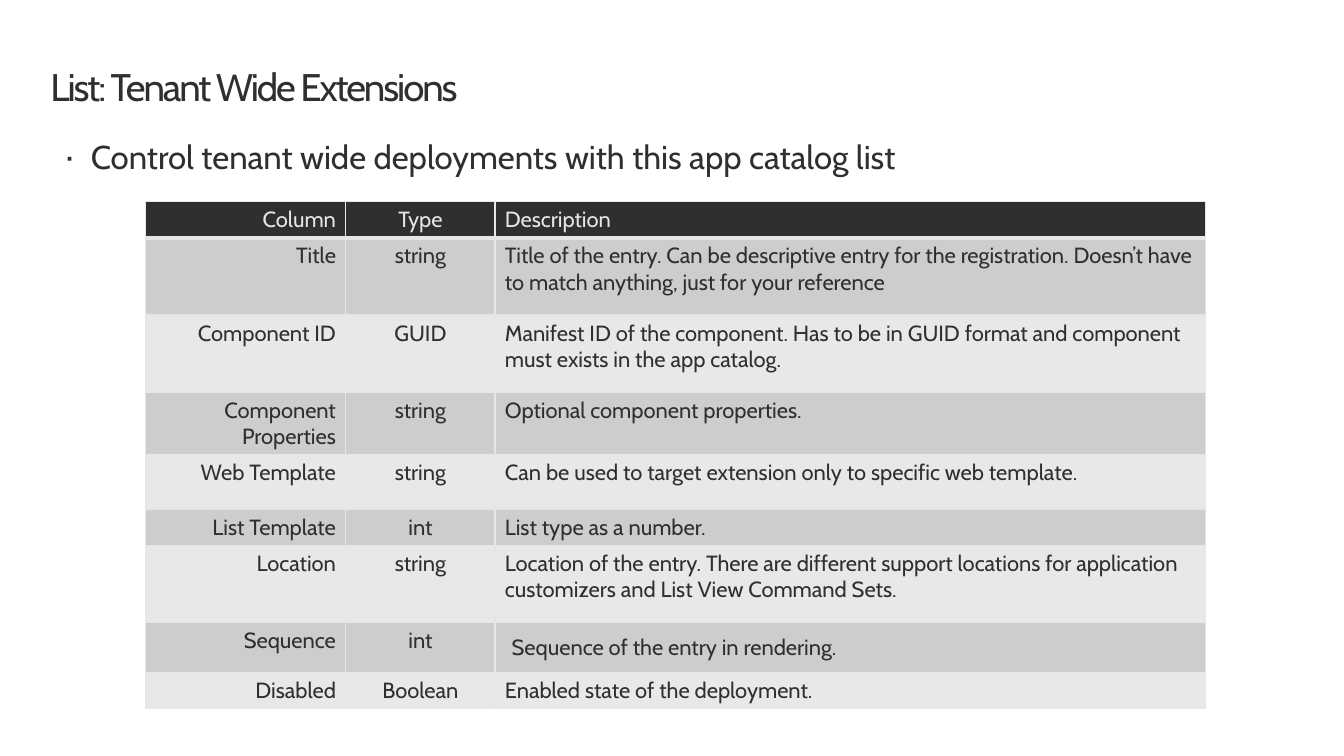
from lxml import etree
from pptx import Presentation
from pptx.dml.color import RGBColor
from pptx.enum.text import MSO_ANCHOR, MSO_AUTO_SIZE, PP_ALIGN
from pptx.oxml.ns import qn
from pptx.util import Pt

LEFT, CENTER, RIGHT = PP_ALIGN.LEFT, PP_ALIGN.CENTER, PP_ALIGN.RIGHT
TOP = MSO_ANCHOR.TOP
NO_AUTOFIT = MSO_AUTO_SIZE.NONE

INK = RGBColor(0x2F, 0x2F, 0x2F)
PALE = RGBColor(0xE6, 0xE6, 0xE6)
BAND_DARK = RGBColor(0xCD, 0xCD, 0xCD)
BAND_LIGHT = RGBColor(0xE8, 0xE8, 0xE8)
FONT = "Cabin"

COLUMN_WIDTHS = [146.2, 108.7, 517.7]
COLUMN_ALIGNMENTS = [RIGHT, CENTER, LEFT]
FIELDS = [
    (25.2, "Column", "Type", "Description"),
    (56.2, "Title", "string",
     "Title of the entry. Can be descriptive entry for the registration. "
     "Doesn’t have to match anything, just for your reference"),
    (56.2, "Component ID", "GUID",
     "Manifest ID of the component. Has to be in GUID format and component "
     "must exists in the app catalog."),
    (44, "Component Properties", "string", "Optional component properties."),
    (39.6, "Web Template", "string",
     "Can be used to target extension only to specific web template."),
    (25.2, "List Template", "int", "List type as a number."),
    (56.2, "Location", "string",
     "Location of the entry. There are different support locations for "
     "application customizers and List View Command Sets."),
    (36, "Sequence", "int", "Sequence of the entry in rendering."),
    (25.2, "Disabled", "Boolean", "Enabled state of the deployment."),
]


def add_run(paragraph, text, size, color):
    run = paragraph.add_run()
    run.text = text
    run.font.name = FONT
    run.font.size = Pt(size)
    run.font.color.rgb = color
    return run


def set_margins(target, horizontal, vertical):
    target.margin_left = target.margin_right = Pt(horizontal)
    target.margin_top = target.margin_bottom = Pt(vertical)


def place_title(slide, left, top, width, height):
    title = slide.shapes.title
    title.left, title.top = Pt(left), Pt(top)
    title.width, title.height = Pt(width), Pt(height)
    frame = title.text_frame
    frame.auto_size = NO_AUTOFIT
    frame.vertical_anchor = TOP
    set_margins(frame, 0, 0)
    heading = frame.paragraphs[0]
    heading.alignment = LEFT
    heading.line_spacing = 0.9
    run = add_run(heading, "List: Tenant Wide Extensions", 28, INK)
    run.font._element.set("spc", "-150")


def add_summary(slide, left, top, width, height):
    summary = slide.shapes.add_textbox(Pt(left), Pt(top), Pt(width), Pt(height))
    frame = summary.text_frame
    frame.word_wrap = True
    set_margins(frame, 11.5, 7.2)
    point = frame.paragraphs[0]
    point.line_spacing = 0.9
    point.space_before = Pt(4.8)
    add_run(point, "Control tenant wide deployments with this app catalog list",
            24, INK)
    properties = point._p.get_or_add_pPr()
    properties.set("marL", str(Pt(18)))
    properties.set("indent", str(-Pt(18)))
    etree.SubElement(properties, qn("a:buSzPct"), val="90000")
    etree.SubElement(properties, qn("a:buFont"), typeface=FONT)
    etree.SubElement(properties, qn("a:buChar"), char="·")


def add_borders(cell, bottom_width):
    properties = cell._tc.get_or_add_tcPr()
    widths = {"a:lnL": 1, "a:lnR": 1, "a:lnT": 1, "a:lnB": bottom_width}
    for side, width in widths.items():
        border = etree.SubElement(properties, qn(side), w=str(Pt(width)))
        fill = etree.SubElement(border, qn("a:solidFill"))
        etree.SubElement(fill, qn("a:srgbClr"), val=str(PALE))


def add_field_table(slide, left, top):
    width = sum(COLUMN_WIDTHS)
    height = sum(field[0] for field in FIELDS)
    table = slide.shapes.add_table(
        len(FIELDS), len(COLUMN_WIDTHS),
        Pt(left), Pt(top), Pt(width), Pt(height)).table
    for column, column_width in zip(table.columns, COLUMN_WIDTHS):
        column.width = Pt(column_width)
    for row_index, (row_height, *texts) in enumerate(FIELDS):
        table.rows[row_index].height = Pt(row_height)
        is_header = row_index == 0
        band = BAND_DARK if row_index % 2 else BAND_LIGHT
        for column_index, text in enumerate(texts):
            cell = table.cell(row_index, column_index)
            if text.startswith("Sequence of"):
                set_margins(cell, 12.2, 8.6)
            add_borders(cell, 3 if is_header else 1)
            cell.fill.solid()
            cell.fill.fore_color.rgb = INK if is_header else band
            entry = cell.text_frame.paragraphs[0]
            entry.alignment = COLUMN_ALIGNMENTS[column_index]
            add_run(entry, text, 16, PALE if is_header else INK)


def main():
    presentation = Presentation()
    presentation.slide_width = Pt(979.2)
    presentation.slide_height = Pt(550.8)
    slide = presentation.slides.add_slide(presentation.slide_layouts[5])
    place_title(slide, 36.7, 49.7, 911.5, 32.4)
    add_summary(slide, 36.7, 95.8, 911.5, 46)
    add_field_table(slide, 105.8, 146.9)
    presentation.save("out.pptx")


if __name__ == "__main__":
    main()
